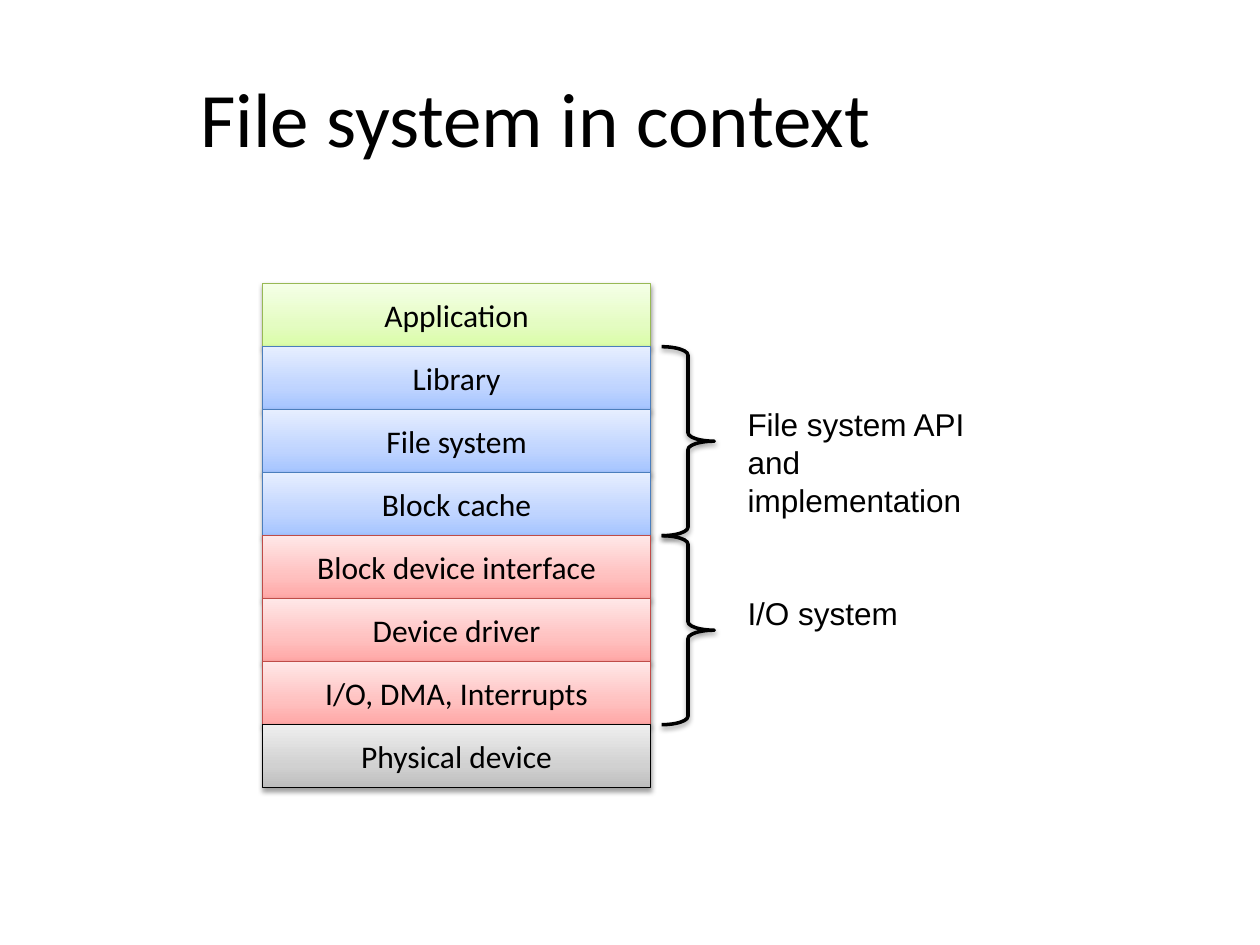
import copy
import pptx
import pptx.dml.color
import pptx.enum.shapes
import pptx.enum.text
import pptx.oxml
import pptx.oxml.ns
import pptx.util

Cm, Pt = pptx.util.Cm, pptx.util.Pt
RGB = pptx.dml.color.RGBColor.from_string
Kind = pptx.enum.shapes.MSO_SHAPE
Align = pptx.enum.text.PP_ALIGN
Anchor = pptx.enum.text.MSO_ANCHOR

# Content
TITLE = "File system in context"
LAYERS = [
    ("Application", "green"),
    ("Library", "blue"),
    ("File system", "blue"),
    ("Block cache", "blue"),
    ("Block device interface", "red"),
    ("Device driver", "red"),
    ("I/O, DMA, Interrupts", "red"),
    ("Physical device", "gray"),
]
# First layer, layer count, label lines, label top (cm), label size (cm)
GROUPS = [
    (1, 3, ["File system API", "and implementation"], 8.04, (5.82, 1.8)),
    (4, 3, ["I/O system"], 11.85, (3.58, 1.02)),
]

# Theme: each fill runs from the bottom up, then comes the border
THEME = {
    "ink": "000000",
    "head": ("Calibri", 44),
    "layer": ("Calibri", 18),
    "label": ("Arial", 18),
    "green": (["DAFDA7", "E4FCC2", "F5FFE7"], "98B955"),
    "blue": (["A4C4FF", "BFD4FF", "E6EEFF"], "4B7EBC"),
    "red": (["FFA6A5", "FFC0BF", "FFE7E7"], "BF4C48"),
    "gray": (["BDBDBD", "D1D1D1", "EEEEEE"], "000000"),
    "stops": [0, 0.35, 1],
    "border": 0.75,
    "brace": 2,
}

# Layout in cm
LEFT, TOP, WIDE, STEP = 5.29, 5.72, 7.83, 1.27
BRACE_X, BRACE_W, LABEL_X = 13.34, 1.06, 14.82


def write(para, lines, style):
    font, size = THEME[style]
    for i, line in enumerate(lines):
        if i:
            para.add_line_break()
        run = para.add_run()
        run.text = line
        run.font.name = font
        run.font.size = Pt(size)
        run.font.color.rgb = RGB(THEME["ink"])


def shade(shape):
    """Give the shape a soft shadow straight below it."""
    shape.shadow.inherit = False
    effects = shape._element.spPr.find(pptx.oxml.ns.qn("a:effectLst"))
    effects.append(pptx.oxml.parse_xml(
        f'<a:outerShdw {pptx.oxml.ns.nsdecls("a")} blurRad="{Pt(3.1)}" '
        f'dist="{Pt(1.6)}" dir="5400000" rotWithShape="0">'
        '<a:srgbClr val="000000"><a:alpha val="38000"/></a:srgbClr>'
        '</a:outerShdw>'))


def blend(fill, colors):
    """Fill with a three-stop gradient."""
    fill.gradient()
    fill.gradient_angle = 90
    last = fill.gradient_stops[1]._gs
    last.addnext(copy.deepcopy(last))
    for stop, color, pos in zip(fill.gradient_stops, colors, THEME["stops"]):
        stop.color.rgb = RGB(color)
        stop.position = pos


def outline(shape, color, width):
    shape.line.color.rgb = RGB(color)
    shape.line.width = Pt(width)


deck = pptx.Presentation()
deck.slide_width, deck.slide_height = Cm(25.4), Cm(19.05)
slide = deck.slides.add_slide(deck.slide_layouts[5])
shapes = slide.shapes

# Title
title = shapes.title
title.left, title.top = Cm(1.27), Cm(0.76)
title.width, title.height = Cm(19.05), Cm(3.18)
title.text_frame.vertical_anchor = Anchor.MIDDLE
para = title.text_frame.paragraphs[0]
para.alignment = Align.CENTER
write(para, [TITLE], "head")

# Layer stack
for i, (name, tone) in enumerate(LAYERS):
    box = shapes.add_shape(Kind.RECTANGLE, Cm(LEFT), Cm(TOP + i * STEP),
                           Cm(WIDE), Cm(STEP))
    colors, border = THEME[tone]
    blend(box.fill, colors)
    outline(box, border, THEME["border"])
    shade(box)
    box.text_frame.vertical_anchor = Anchor.MIDDLE
    para = box.text_frame.paragraphs[0]
    para.alignment = Align.CENTER
    write(para, [name], "layer")

# Braces and their labels
for first, count, lines, top, (wide, high) in GROUPS:
    brace = shapes.add_shape(Kind.RIGHT_BRACE, Cm(BRACE_X),
                             Cm(TOP + first * STEP),
                             Cm(BRACE_W), Cm(count * STEP))
    brace.adjustments[0], brace.adjustments[1] = 0.16, 0.5
    brace.fill.background()
    outline(brace, THEME["ink"], THEME["brace"])
    shade(brace)
    label = shapes.add_textbox(Cm(LABEL_X), Cm(top), Cm(wide), Cm(high))
    label.text_frame.word_wrap = True
    write(label.text_frame.paragraphs[0], lines, "label")

deck.save("out.pptx")
